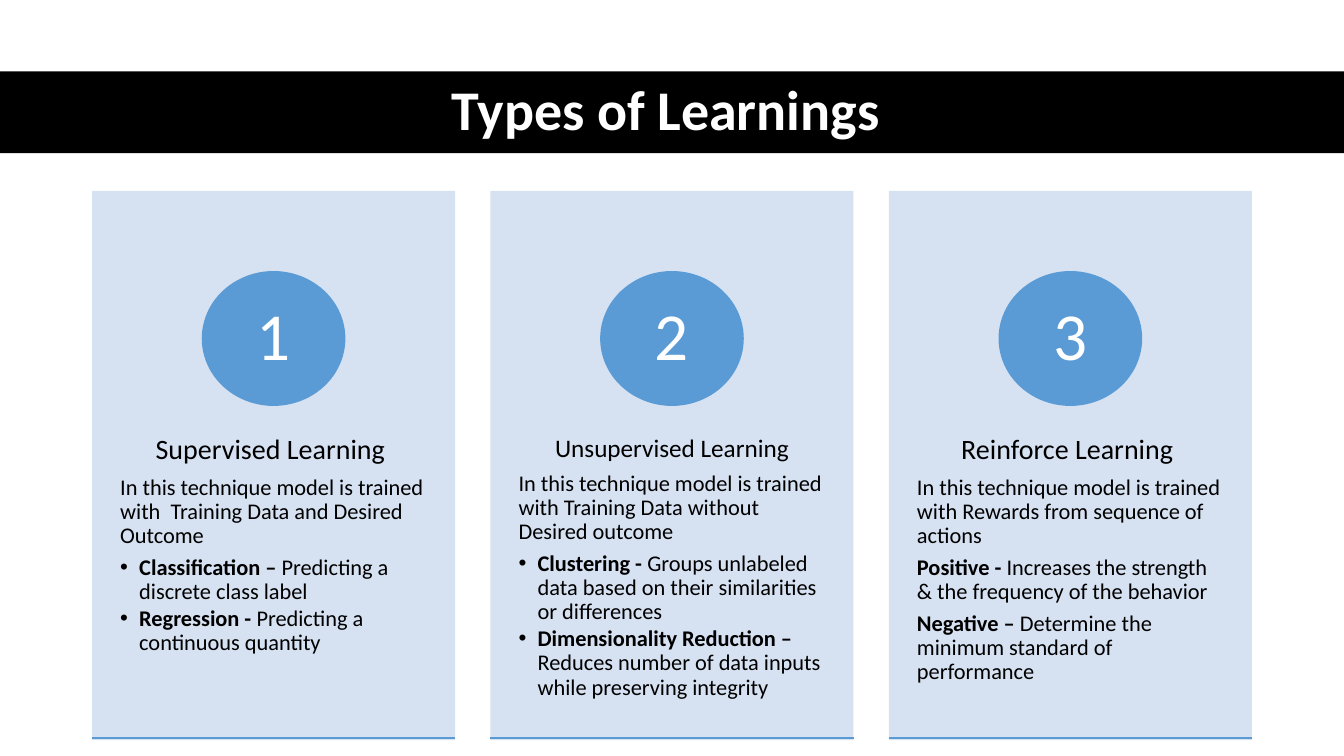
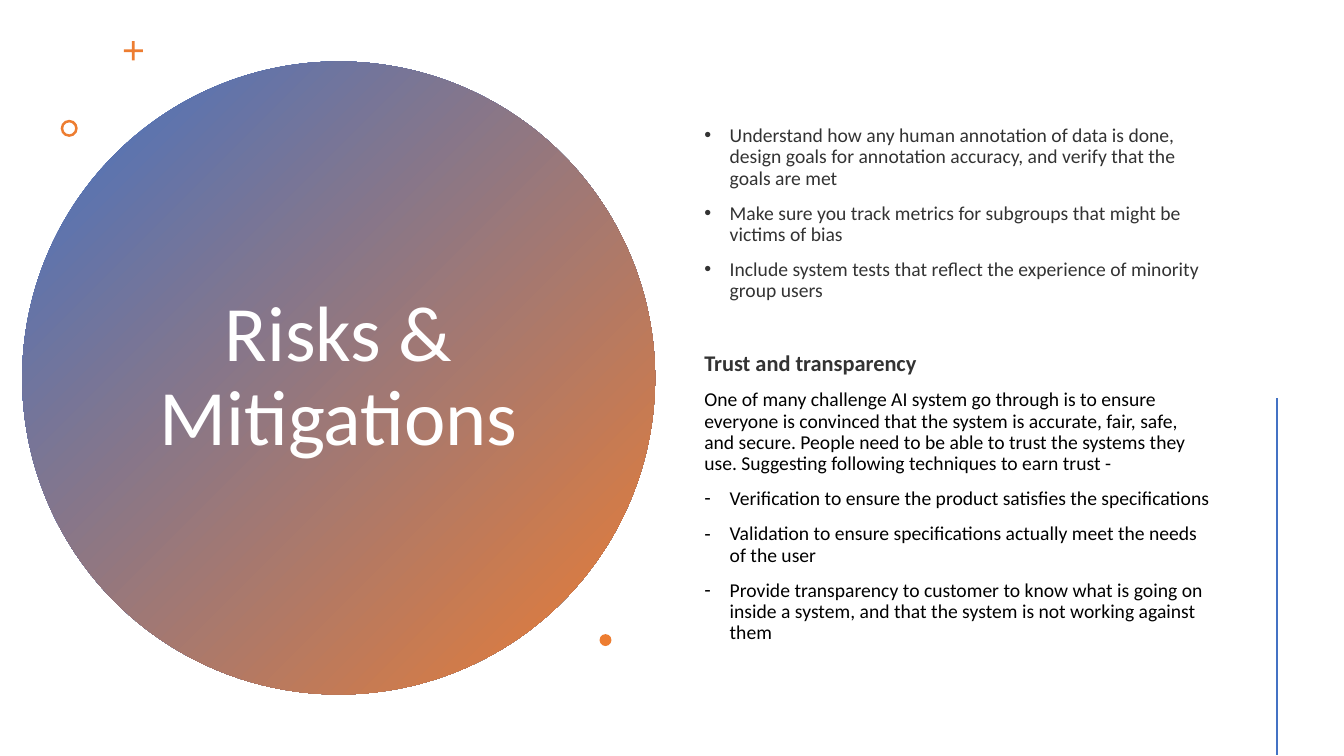
from lxml import etree
from pptx import Presentation
from pptx import util as u
from pptx.dml.color import RGBColor
from pptx.enum import shapes, text
from pptx.oxml import ns

FONT = "Calibri"
BLACK = RGBColor(0x00, 0x00, 0x00)
WHITE = RGBColor(0xFF, 0xFF, 0xFF)
GREY = RGBColor(0x33, 0x33, 0x33)
PALE = RGBColor(0xD6, 0xE1, 0xF1)
SKY = RGBColor(0x5B, 0x9B, 0xD5)
BLUE = RGBColor(0x44, 0x72, 0xC4)
ORANGE = RGBColor(0xED, 0x7D, 0x31)
KIND = shapes.MSO_SHAPE

CARDS = [
    ("Supervised Learning ", 20,
     "In this technique model is trained with  Training Data and Desired Outcome", "•",
     [("Classification – ", "Predicting a discrete class label"),
      ("Regression - ", "Predicting a continuous quantity")]),
    ("Unsupervised Learning", 18,
     "In this technique model is trained with Training Data without Desired outcome", "•",
     [("Clustering - ", "Groups unlabeled data based on their similarities or differences"),
      ("Dimensionality Reduction –",
       "Reduces number of data inputs while preserving integrity")]),
    ("Reinforce Learning ", 20,
     "In this technique model is trained with Rewards from sequence of actions", None,
     [("Positive - ", "Increases the strength & the frequency of the behavior"),
      ("Negative – ", "Determine the minimum standard of performance")]),
]
CHECKS = [
    "Understand how any human annotation of data is done, design goals for annotation "
    "accuracy, and verify that the goals are met",
    "Make sure you track metrics for subgroups that might be victims of bias",
    "Include system tests that reflect the experience of minority group users",
]
TRUST = "Trust and transparency"
INTRO = ("One of many challenge AI system go through is to ensure everyone is convinced that "
         "the system is accurate, fair, safe, and secure. People need to be able to trust the "
         "systems they use. Suggesting following techniques to earn trust -")
STEPS = [
    "Verification to ensure the product satisfies the specifications",
    "Validation to ensure specifications actually meet the needs of the user",
    "Provide transparency to customer to know what is going on inside a system, and that "
    "the system is not working against them",
]


def box(left, top, width, height):
    """Return a box in lengths from centimetres."""
    return u.Cm(left), u.Cm(top), u.Cm(width), u.Cm(height)


def add_form(slide, kind, area, fill=None):
    """Add a flat preset shape without an outline."""
    form = slide.shapes.add_shape(kind, *area)
    form.shadow.inherit = False
    form.line.fill.background()
    if fill is not None:
        form.fill.solid()
        form.fill.fore_color.rgb = fill
    return form


def add_line(slide, start, end, color, width):
    """Add a straight line without a shadow."""
    line = slide.shapes.add_connector(shapes.MSO_CONNECTOR.STRAIGHT, *start, *end)
    line.line.color.rgb = color
    line.line.width = u.Pt(width)
    etree.SubElement(line._element.spPr, ns.qn("a:effectLst"))


def style(para, size, color, bold=None, center=False):
    """Set the font and line spacing of a paragraph."""
    para.font.name = FONT
    para.font.size = u.Pt(size)
    para.font.color.rgb = color
    para.font.bold = bold
    para.line_spacing = 0.9
    para.alignment = text.PP_ALIGN.CENTER if center else text.PP_ALIGN.LEFT


def label(form, words, size, bold=False):
    """Write white centred words in a shape."""
    frame = form.text_frame
    frame.word_wrap = True
    frame.vertical_anchor = text.MSO_ANCHOR.MIDDLE
    frame.text = words
    style(frame.paragraphs[0], size, WHITE, bold, True)


def add_mark(para, mark, indent):
    """Give a paragraph a bullet and a hanging indent."""
    props = para._p.get_or_add_pPr()
    props.set("marL", str(indent))
    props.set("indent", str(-indent))
    etree.SubElement(props, ns.qn("a:buFont")).set("typeface", "Arial")
    etree.SubElement(props, ns.qn("a:buChar")).set("char", mark)


def add_frame(slide, area, side, top):
    """Add a wrapping text box with the given margins."""
    frame = slide.shapes.add_textbox(*area).text_frame
    frame.word_wrap = True
    frame.margin_left = frame.margin_right = u.Cm(side)
    frame.margin_top = frame.margin_bottom = u.Cm(top)
    return frame


def add_para(frame, words, size, color, after=0, before=0, bold=None, center=False):
    """Add a styled paragraph, using the first one while it is empty."""
    first = frame.paragraphs[0]
    para = frame.add_paragraph() if first.runs else first
    para.add_run().text = words
    style(para, size, color, bold, center)
    para.space_after = u.Pt(after)
    para.space_before = u.Pt(before)
    return para


def add_card(slide, area, number, card):
    """Build one numbered card in its box."""
    left, top, width, height = area
    title, size, intro, mark, points = card
    add_form(slide, KIND.RECTANGLE, area, PALE)
    frame = add_frame(slide, (left, top + u.Cm(5.26), width, u.Cm(8.28)), 0.71, 0.91)
    add_para(frame, title, size, BLACK, after=size * 0.35, center=True)
    add_para(frame, intro, 16, BLACK, after=5.6)
    for lead, rest in points:
        para = add_para(frame, lead, 16, BLACK, after=2 if mark else 5.6)
        para.runs[0].font.bold = True
        para.add_run().text = rest
        if mark:
            add_mark(para, mark, u.Cm(0.48))
    wide = u.Cm(3.62)
    disc = add_form(slide, KIND.OVAL,
                    (left + (width - wide) // 2, top + u.Cm(2.02), wide, u.Cm(3.4)), SKY)
    label(disc, str(number), 48)
    foot = top + height - u.Cm(0.05)
    add_line(slide, (left, foot), (left + width, foot), SKY, 1)


def types_slide(slide):
    """Build the slide of three learning types."""
    band = add_form(slide, KIND.RECTANGLE, box(0, 1.8, 33.87, 2.06), BLACK)
    label(band, "Types of Learnings ", 40, True)
    for index, card in enumerate(CARDS):
        add_card(slide, box(2.32 + 10.04 * index, 4.81, 9.15, 13.84), index + 1, card)


def add_badge(slide, area):
    """Build the gradient title disc."""
    disc = add_form(slide, KIND.OVAL, area)
    disc.fill.gradient()
    disc.fill.gradient_angle = 315
    for stop, color in zip(disc.fill.gradient_stops, (BLUE, ORANGE)):
        stop.color.rgb = color
    label(disc, "Risks & Mitigations", 56)


def add_notes(slide, area):
    """Build the column of checks and trust steps."""
    frame = add_frame(slide, area, 0.25, 0.13)
    for index, words in enumerate(CHECKS):
        para = add_para(frame, words, 14, GREY, before=10 if index else 0)
        add_mark(para, "•", u.Cm(0.64))
    add_para(frame, TRUST, 16, GREY, before=35.5, bold=True)
    add_para(frame, INTRO, 14, BLACK, before=10)
    for words in STEPS:
        add_mark(add_para(frame, words, 14, BLACK, before=10), "-", u.Cm(0.64))


def risks_slide(slide):
    """Build the slide of risks and mitigations."""
    add_badge(slide, box(0.56, 1.55, 15.95, 15.95))
    plus = add_form(slide, KIND.CROSS, box(3.12, 1.04, 0.48, 0.48), ORANGE)
    plus.adjustments[0] = 0.43
    ring = add_form(slide, KIND.DONUT, box(1.53, 3.02, 0.43, 0.43), ORANGE)
    ring.adjustments[0] = 0.15
    add_form(slide, KIND.OVAL, box(15.11, 15.98, 0.3, 0.3), ORANGE)
    add_notes(slide, box(17.5, 3.04, 13.26, 13.4))
    add_line(slide, (u.Cm(32.18), u.Cm(10.03)), (u.Cm(32.18), u.Cm(19.03)), BLUE, 2)


def main():
    """Build and save the presentation."""
    deck = Presentation()
    deck.slide_width, deck.slide_height = u.Cm(33.87), u.Cm(19.05)
    for build in (types_slide, risks_slide):
        build(deck.slides.add_slide(deck.slide_layouts[6]))
    deck.save("out.pptx")


if __name__ == "__main__":
    main()
